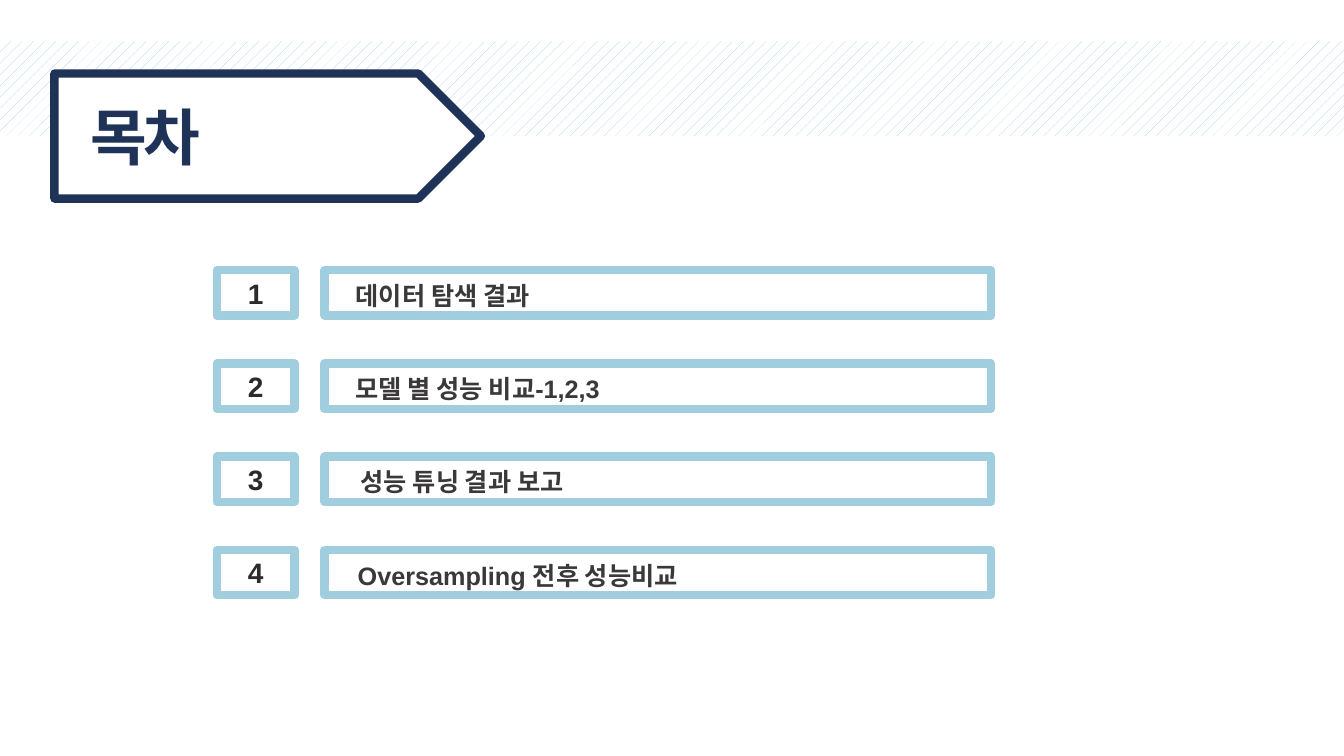
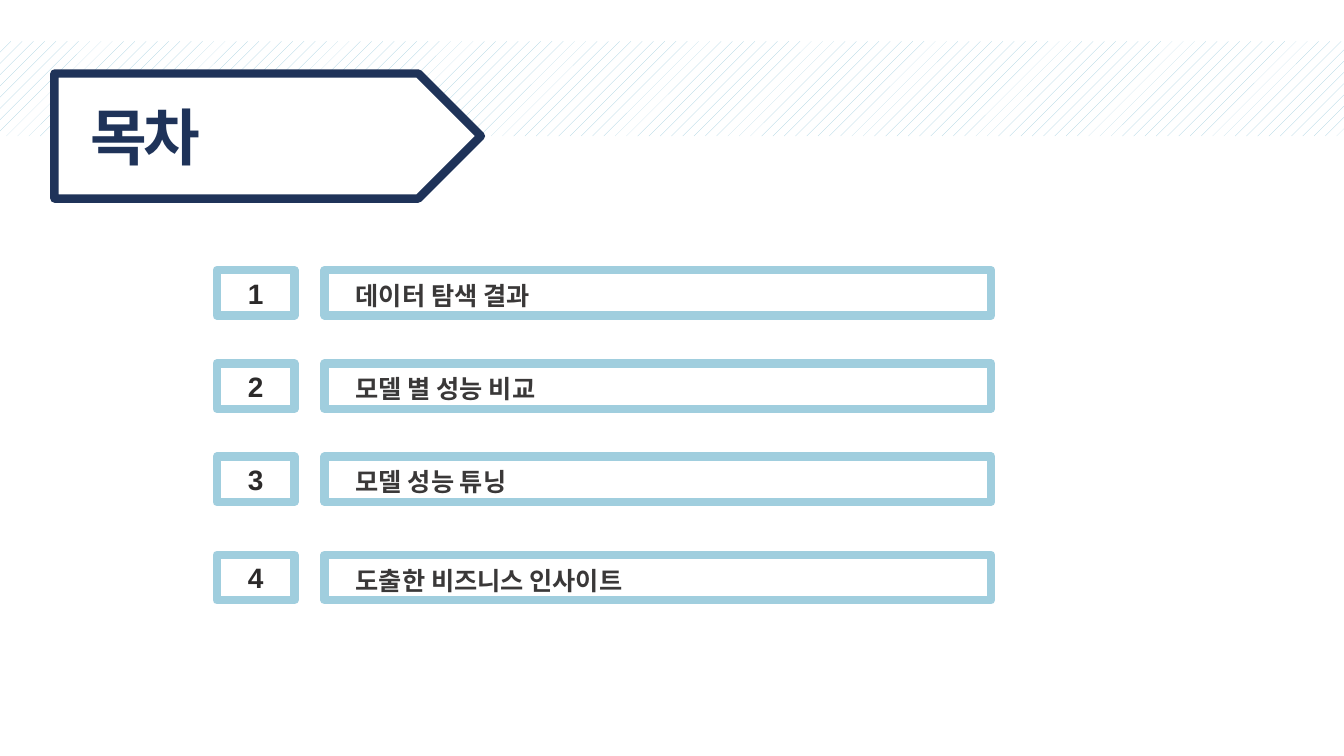
import pptx
import pptx.util
import pptx.dml.color
import pptx.enum.dml
import pptx.enum.shapes
import pptx.enum.text

Inches = pptx.util.Inches
Pt = pptx.util.Pt
RGBColor = pptx.dml.color.RGBColor
Shape = pptx.enum.shapes.MSO_SHAPE
Align = pptx.enum.text.PP_ALIGN
Anchor = pptx.enum.text.MSO_ANCHOR

WHITE = RGBColor(0xFF, 0xFF, 0xFF)
NAVY = RGBColor(0x1F, 0x33, 0x59)
SKY = RGBColor(0xA0, 0xCE, 0xDE)
NUMBER_INK = RGBColor(0x2C, 0x2A, 0x2A)
LABEL_INK = RGBColor(0x3A, 0x38, 0x38)

FONT = "Arial"
SLIDE_WIDTH, SLIDE_HEIGHT = 13.33, 7.5
TITLE = "목차"
FRAME_LINE = 6

ROW_TOP, ROW_PITCH, ROW_HEIGHT = 2.68, 0.925, 0.45
NUMBER_LEFT, NUMBER_WIDTH = 2.15, 0.77
BAR_LEFT, BAR_WIDTH = 3.22, 6.61
LABEL_LEFT, LABEL_DROP, LABEL_HEIGHT = 3.43, 0.05, 0.4

# Each entry: label, label width, label shift to the right, row shift downwards
AGENDAS = [
    [
        ("데이터 탐색 결과", 2.11, 0, 0),
        ("모델 별 성능 비교-1,2,3", 2.82, 0, 0),
        ("성능 튜닝 결과 보고", 2.43, 0.05, 0),
        ("Oversampling 전후 성능비교", 3.54, 0.02, 0),
    ],
    [
        ("데이터 탐색 결과", 2.11, 0, 0),
        ("모델 별 성능 비교", 2.18, 0, 0),
        ("모델 성능 튜닝", 1.86, 0, 0),
        ("도출한 비즈니스 인사이트", 3.12, 0, 0.05),
    ],
]


def style_text(paragraph, text, size, color):
    paragraph.text = text
    font = paragraph.font
    font.name, font.size, font.bold = FONT, Pt(size), True
    font.color.rgb = color


def add_frame(shapes, kind, left, top, width, height, color):
    frame = shapes.add_shape(kind, Inches(left), Inches(top), Inches(width), Inches(height))
    frame.shadow.inherit = False
    frame.fill.solid()
    frame.fill.fore_color.rgb = WHITE
    frame.line.color.rgb = color
    frame.line.width = Pt(FRAME_LINE)
    return frame


def add_label(shapes, text, left, top, width, height, size, color):
    box = shapes.add_textbox(Inches(left), Inches(top), Inches(width), Inches(height))
    box.text_frame.word_wrap = False
    box.text_frame.auto_size = pptx.enum.text.MSO_AUTO_SIZE.SHAPE_TO_FIT_TEXT
    paragraph = box.text_frame.paragraphs[0]
    style_text(paragraph, text, size, color)
    return paragraph


def add_header(slide):
    band = slide.shapes.add_shape(
        Shape.RECTANGLE, 0, Inches(0.41), Inches(SLIDE_WIDTH), Inches(0.94))
    band.shadow.inherit = False
    band.fill.patterned()
    band.fill.pattern = pptx.enum.dml.MSO_PATTERN.PERCENT_10
    band.fill.fore_color.rgb = SKY
    band.fill.back_color.rgb = WHITE
    band.line.fill.background()
    group = slide.shapes.add_group_shape()
    add_frame(group.shapes, Shape.PENTAGON, 0.54, 0.73, 4.23, 1.24, NAVY)
    title = add_label(group.shapes, TITLE, 0.8, 0.93, 1.35, 0.84, 44, NAVY)
    title.runs[0].font._element.set("spc", "-300")


def add_row(slide, number, entry):
    text, width, label_shift, row_shift = entry
    top = ROW_TOP + (number - 1) * ROW_PITCH + row_shift
    shapes = slide.shapes.add_group_shape().shapes
    badge = add_frame(shapes, Shape.RECTANGLE, NUMBER_LEFT, top, NUMBER_WIDTH, ROW_HEIGHT, SKY)
    badge.text_frame.vertical_anchor = Anchor.MIDDLE
    paragraph = badge.text_frame.paragraphs[0]
    paragraph.alignment = Align.CENTER
    style_text(paragraph, str(number), 20, NUMBER_INK)
    add_frame(shapes, Shape.RECTANGLE, BAR_LEFT, top, BAR_WIDTH, ROW_HEIGHT, SKY)
    add_label(shapes, text, LABEL_LEFT + label_shift, top + LABEL_DROP,
              width, LABEL_HEIGHT, 18, LABEL_INK)


def main():
    deck = pptx.Presentation()
    deck.slide_width = Inches(SLIDE_WIDTH)
    deck.slide_height = Inches(SLIDE_HEIGHT)
    for agenda in AGENDAS:
        slide = deck.slides.add_slide(deck.slide_layouts[6])
        add_header(slide)
        for number, entry in enumerate(agenda, start=1):
            add_row(slide, number, entry)
    deck.save("out.pptx")


if __name__ == "__main__":
    main()
